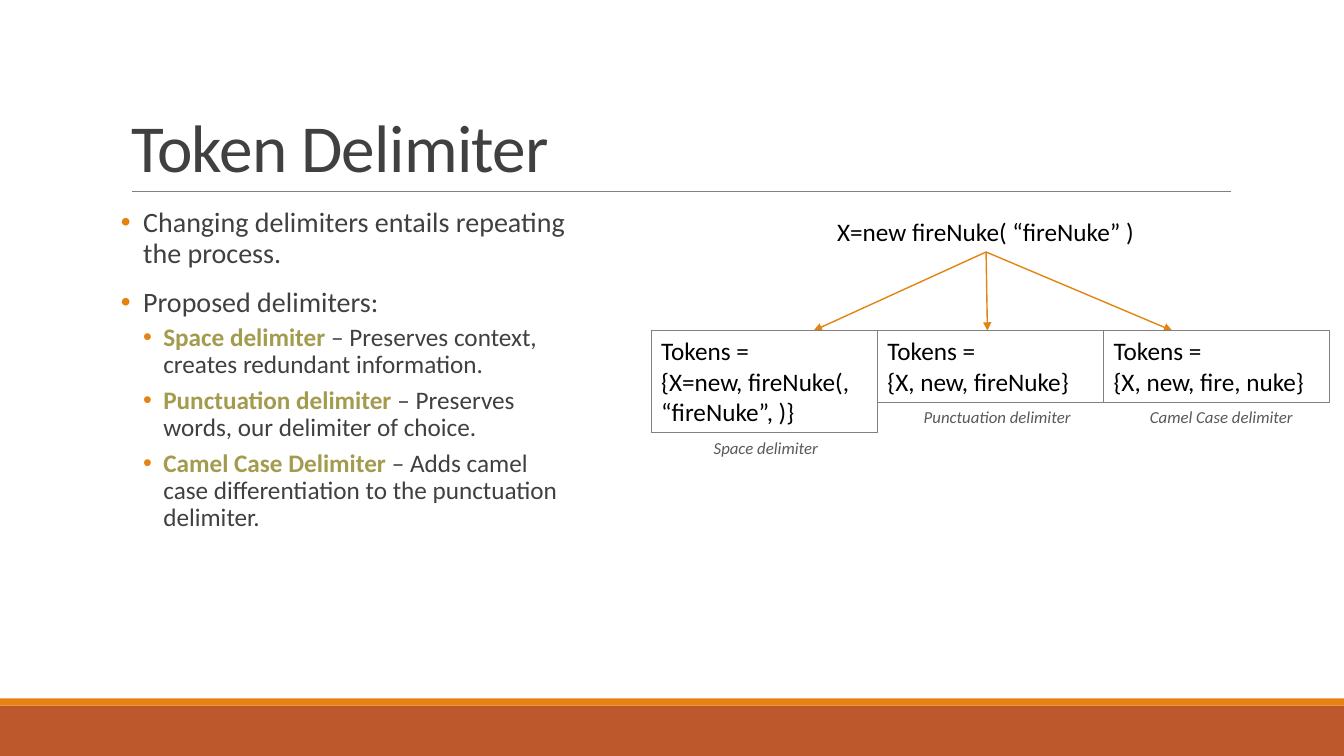
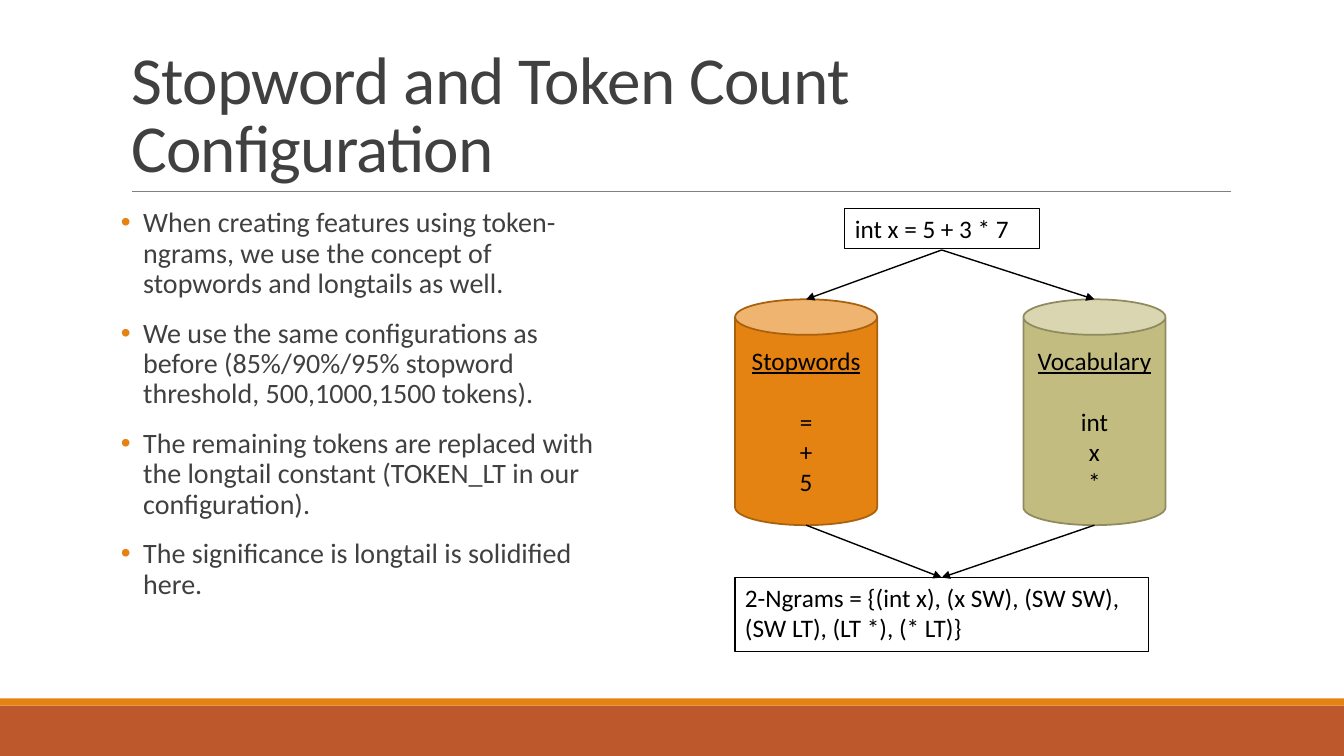
from pptx import Presentation
from pptx.dml.color import RGBColor
from pptx.enum.shapes import MSO_CONNECTOR, MSO_SHAPE
from pptx.enum.text import MSO_ANCHOR, MSO_AUTO_SIZE, PP_ALIGN
from pptx.oxml.ns import qn
from pptx.util import Inches, Pt
from lxml import etree

RECT, CAN = MSO_SHAPE.RECTANGLE, MSO_SHAPE.CAN
LINE = MSO_CONNECTOR.STRAIGHT
LEFT, CENTER = PP_ALIGN.LEFT, PP_ALIGN.CENTER
TOP, MIDDLE, BOTTOM = MSO_ANCHOR.TOP, MSO_ANCHOR.MIDDLE, MSO_ANCHOR.BOTTOM
FIXED, GROW = MSO_AUTO_SIZE.NONE, MSO_AUTO_SIZE.SHAPE_TO_FIT_TEXT

FONT = "Calibri"
BLACK, GRAY, DARK, SOFT = "000000", "808080", "404040", "595959"
ORANGE, RUST, BROWN = "E48312", "BD582C", "A9610D"
OLIVE, SAND, MOSS = "A39B4E", "C2BC80", "908B5F"
WIDE, HIGH = 13.33, 7.5
TITLE = (1.2, 0.31, 11, 1.59)


def paint(color):
    """Turn a hex string into a colour."""
    return RGBColor.from_string(color)


def style(run, size, color, bold=False, italic=False, under=False):
    """Format one run."""
    font = run.font
    font.name, font.size = FONT, Pt(size)
    font.bold, font.italic, font.underline = bold, italic, under
    font.color.rgb = paint(color)


def write(frame, text, size=18, color=BLACK, align=LEFT, italic=False):
    """Fill a text frame, one paragraph per line of text."""
    frame.text = text
    frame.word_wrap = True
    for para in frame.paragraphs:
        para.alignment = align
        for run in para.runs:
            style(run, size, color, italic=italic)


def move(shape, box):
    """Put a shape at left, top, width, height."""
    shape.left, shape.top, shape.width, shape.height = map(Inches, box)


def shape(slide, kind, box, fill=None, edge=None, weight=0.75):
    """Add a flat preset shape."""
    item = slide.shapes.add_shape(kind, *map(Inches, box))
    item.shadow.inherit = False
    if fill:
        item.fill.solid()
        item.fill.fore_color.rgb = paint(fill)
    else:
        item.fill.background()
    if edge:
        item.line.color.rgb = paint(edge)
        item.line.width = Pt(weight)
    else:
        item.line.fill.background()
    return item


def frame(slide, box, text, edge):
    """Add an outlined box with text at its top left."""
    item = shape(slide, RECT, box, edge=edge)
    write(item.text_frame, text)
    item.text_frame.vertical_anchor = TOP
    item.text_frame.auto_size = GROW


def label(slide, box, text, **look):
    """Add a plain text box."""
    item = slide.shapes.add_textbox(*map(Inches, box))
    write(item.text_frame, text, **look)
    item.text_frame.auto_size = GROW


def link(slide, start, end, color, weight=1, arrow=True):
    """Draw a straight line, with an arrowhead at its end if asked."""
    item = slide.shapes.add_connector(LINE, *map(Inches, start + end))
    item.line.color.rgb = paint(color)
    item.line.width = Pt(weight)
    props = item._element.spPr
    if arrow:
        etree.SubElement(props.find(qn("a:ln")), qn("a:tailEnd"), type="triangle")
    etree.SubElement(props, qn("a:effectLst"))


def base(deck, title):
    """Start a slide with its bands, rule and title."""
    slide = deck.slides.add_slide(deck.slide_layouts[1])
    shape(slide, RECT, (0, 7, WIDE, 0.5), RUST)
    shape(slide, RECT, (0, 6.93, WIDE, 0.07), ORANGE)
    left, top, width, height = TITLE
    low = top + height
    link(slide, (left + 0.11, low), (left + width + 0.01, low), GRAY, 0.5, False)
    head = slide.shapes.title
    move(head, TITLE)
    write(head.text_frame, title, 48, DARK)
    head.text_frame.vertical_anchor = BOTTOM
    head.text_frame.auto_size = FIXED
    para = head.text_frame.paragraphs[0]
    para.line_spacing = 0.85
    para.runs[0]._r.get_or_add_rPr().set("spc", "-50")
    return slide


def bullet(para, left, hang):
    """Give a paragraph an orange bullet and a hanging indent."""
    props = para._p.get_or_add_pPr()
    props.set("marL", str(Inches(left)))
    props.set("indent", str(-Inches(hang)))
    tint = etree.SubElement(props, qn("a:buClr"))
    etree.SubElement(tint, qn("a:srgbClr"), val=ORANGE)
    etree.SubElement(props, qn("a:buChar"), char="•")


def points(slide, box, items, terms=()):
    """Fill the body with points, then with terms and their meanings."""
    body = slide.placeholders[1]
    move(body, box)
    text = body.text_frame
    text.text = "\n".join(items + [name + note for name, note in terms])
    text.word_wrap, text.auto_size = True, FIXED
    text.vertical_anchor = TOP
    text.margin_left = text.margin_right = 0
    for para in text.paragraphs:
        para.line_spacing = 0.9
    count = len(items)
    for para in text.paragraphs[:count]:
        para.space_before, para.space_after = Pt(12), Pt(2)
        bullet(para, 0.22, 0.22)
        style(para.runs[0], 20, DARK)
    for para, (name, note) in zip(text.paragraphs[count:], terms):
        para.level = 1
        para.space_before, para.space_after = Pt(2), Pt(4)
        bullet(para, 0.42, 0.2)
        para.text = name
        style(para.runs[0], 18, OLIVE, bold=True)
        rest = para.add_run()
        rest.text = note
        style(rest, 18, DARK)


def split(slide, box):
    """Show one statement cut into tokens by three delimiters."""
    left, top, width, _ = box
    step = width / 3
    row = top + 1.18
    label(slide, (left + 0.52, top, 5.59, 0.4),
          "X=new fireNuke( “fireNuke” )", align=CENTER)
    cases = [
        ("{X=new, fireNuke(, “fireNuke”, )}", 1.01, "Space delimiter", 0.52, 1.28, 1.61),
        ("{X, new, fireNuke}", 0.71, "Punctuation delimiter", 0.36, 1.75, 1.09),
        ("{X, new, fire, nuke}", 0.71, "Camel Case delimiter", 0.36, 1.75, 0.68),
    ]
    for i, (tokens, tall, name, inset, span, tip) in enumerate(cases):
        edge = left + i * step
        link(slide, (left + 3.32, top + 0.4), (edge + tip, row), ORANGE)
        frame(slide, (edge, row, step, tall), "Tokens =\n" + tokens, GRAY)
        label(slide, (edge + inset, row + tall, span, 0.3), name,
              size=12, color=SOFT, italic=True)


def store(slide, box, name, words, fill, edge):
    """Draw a can with an underlined name above its words."""
    can = shape(slide, CAN, box, fill, edge, 1.25)
    write(can.text_frame, "\n".join([name] + words), align=CENTER)
    can.text_frame.vertical_anchor = MIDDLE
    head = can.text_frame.paragraphs[0]
    head.space_after = Pt(22)
    head.runs[0].font.underline = True


def flow(slide, box):
    """Show a statement sorted into two stores and joined as n-grams."""
    left, top, _, height = box
    mid = left + 2.05
    roof, wide, tall = top + 0.9, 1.41, 2.24
    foot, last = roof + tall, top + height - 0.73
    frame(slide, (mid - 0.96, top, 1.93, 0.4), "int x = 5 + 3 * 7", BLACK)
    frame(slide, (left, last, 4.1, 0.73),
          "2-Ngrams = {(int x), (x SW), (SW SW), (SW LT), (LT *), (* LT)}", BLACK)
    stores = [
        ("Stopwords", ["=", "+", "5"], ORANGE, BROWN),
        ("Vocabulary", ["int", "x", "*"], SAND, MOSS),
    ]
    for i, data in enumerate(stores):
        edge = left + i * 2.86
        axis = edge + wide / 2
        store(slide, (edge, roof, wide, tall), *data)
        link(slide, (mid, top + 0.41), (axis, roof), BLACK)
        link(slide, (axis, foot), (mid, last), BLACK)


def main():
    """Build both slides and save them."""
    deck = Presentation()
    deck.slide_width, deck.slide_height = Inches(WIDE), Inches(HIGH)

    slide = base(deck, "Token Delimiter")
    points(slide, (1.2, 2.02, 4.46, 3.82), [
        "Changing delimiters entails repeating the process.",
        "Proposed delimiters:",
    ], [
        ("Space delimiter", " – Preserves context, creates redundant information."),
        ("Punctuation delimiter", " – Preserves words, our delimiter of choice."),
        ("Camel Case Delimiter",
         " – Adds camel case differentiation to the punctuation delimiter."),
    ])
    split(slide, (6.46, 2.1, 6.73, 2.49))

    slide = base(deck, "Stopword and Token Count Configuration")
    points(slide, (1.2, 2.02, 4.73, 4.44), [
        "When creating features using token-ngrams, we use the concept of "
        "stopwords and longtails as well.",
        "We use the same configurations as before (85%/90%/95% stopword "
        "threshold, 500,1000,1500 tokens).",
        "The remaining tokens are replaced with the longtail constant "
        "(TOKEN_LT in our configuration).",
        "The significance is longtail is solidified here.",
    ])
    flow(slide, (7.29, 2.07, 4.27, 4.39))

    deck.save("out.pptx")


main()
